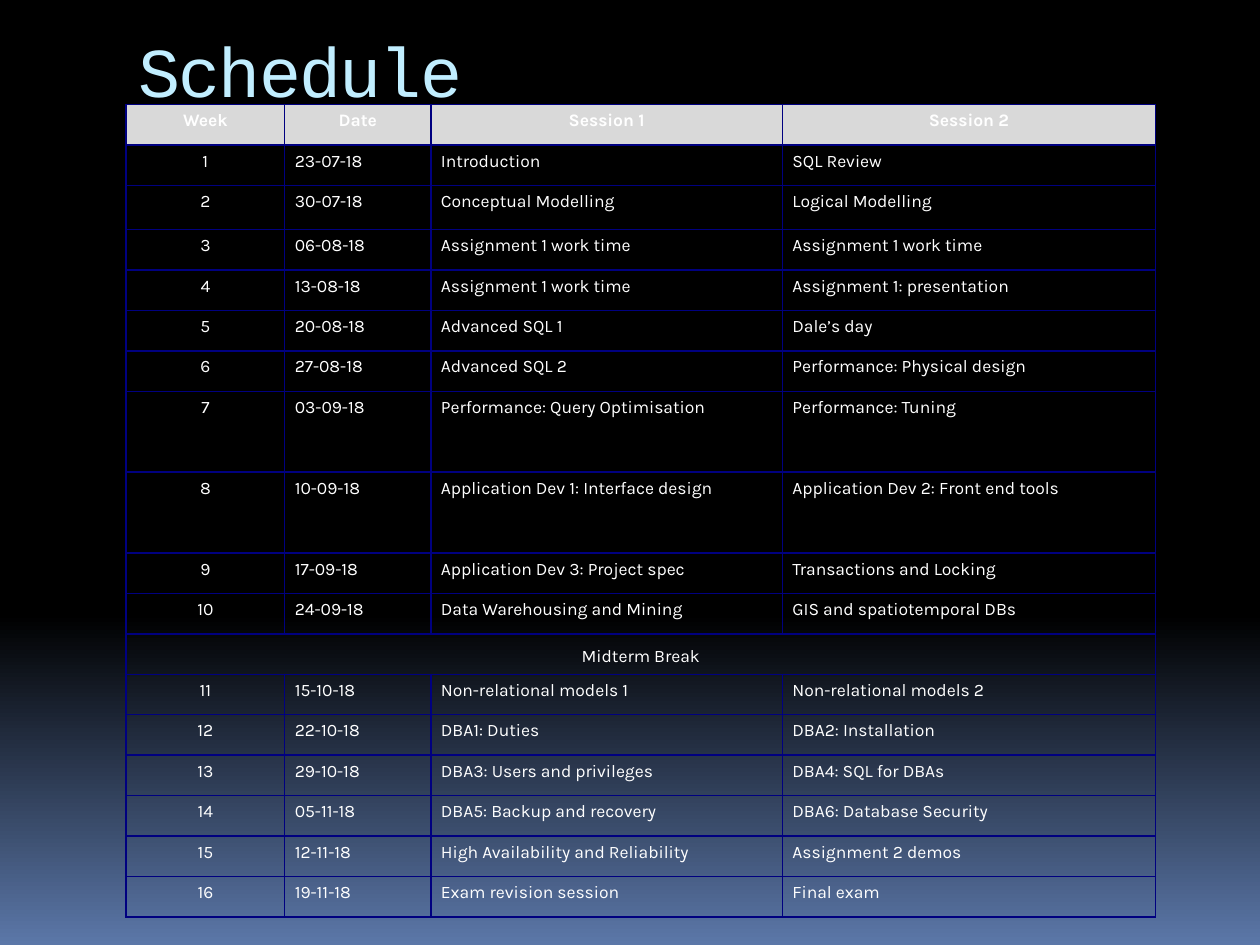
from copy import deepcopy
from dataclasses import dataclass

from lxml import etree
from pptx import Presentation
from pptx import util as u
from pptx.dml.color import RGBColor
from pptx.enum import shapes, text
from pptx.oxml.ns import qn


@dataclass(frozen=True)
class Theme:
    black: str = "000000"
    blue: str = "5B77A8"
    title: str = "C1EEFF"
    body: str = "FFFFFF"
    header: str = "D9D9D9"
    border: str = "000080"
    title_font: str = "Courier New"
    body_font: str = "Karla"
    title_size: int = 40
    body_size: int = 10


THEME = Theme()
COL_WIDTHS = [1.26, 1.16, 2.79, 2.96]
HEADER = ["Week", "Date", "Session 1", "Session 2"]
BREAK = ["Midterm Break"]
SESSIONS = [
    ("23-07-18", "Introduction", "SQL Review"),
    ("30-07-18", "Conceptual Modelling", "Logical Modelling"),
    ("06-08-18", "Assignment 1 work time", "Assignment 1 work time"),
    ("13-08-18", "Assignment 1 work time", "Assignment 1: presentation"),
    ("20-08-18", "Advanced SQL 1", "Dale’s day"),
    ("27-08-18", "Advanced SQL 2", "Performance: Physical design"),
    ("03-09-18", "Performance: Query Optimisation", "Performance: Tuning"),
    ("10-09-18", "Application Dev 1: Interface design",
     "Application Dev 2: Front end tools"),
    ("17-09-18", "Application Dev 3: Project spec", "Transactions and Locking"),
    ("24-09-18", "Data Warehousing and Mining", "GIS and spatiotemporal DBs"),
    ("15-10-18", "Non-relational models 1", "Non-relational models 2"),
    ("22-10-18", "DBA1: Duties", "DBA2: Installation"),
    ("29-10-18", "DBA3: Users and privileges", "DBA4: SQL for DBAs"),
    ("05-11-18", "DBA5: Backup and recovery", "DBA6: Database Security"),
    ("12-11-18", "High Availability and Reliability", "Assignment 2 demos"),
    ("19-11-18", "Exam revision session", "Final exam"),
]
BREAK_ROW = 11
SECOND_WEEK = 2
TALL_WEEKS = (7, 8)


def apply(obj, values):
    for name, value in values.items():
        setattr(obj, name, value)


def add_run(p, words, size, font, color, bold=False):
    r = p.add_run()
    r.text = words
    apply(r.font, {"size": u.Pt(size), "name": font, "bold": bold})
    r.font.color.rgb = RGBColor.from_string(color)
    return r


def paint_background(s):
    fill = s.background.fill
    fill.gradient()
    fill.gradient_angle = 270
    stop_list = next(s.element.iter(qn("a:gsLst")))
    stop_list.append(deepcopy(stop_list[-1]))
    stops = [(0, THEME.black), (0.65, THEME.black), (1, THEME.blue)]
    for stop, (position, color) in zip(fill.gradient_stops, stops):
        stop.position = position
        stop.color.rgb = RGBColor.from_string(color)


def add_side_bars(s, box):
    left, top, _, height = box
    for offset, width in ((0.1, 0.05), (0.05, 0.03), (0.03, 0.01), (0, 0.01)):
        bar = s.shapes.add_shape(
            shapes.MSO_SHAPE.RECTANGLE,
            *map(u.Inches, (left + offset, top, width, height)))
        bar.shadow.inherit = False
        bar.fill.solid()
        bar.fill.fore_color.rgb = RGBColor.from_string(THEME.black)
        bar.line.fill.background()


def add_title(s, box, words):
    tf = s.shapes.add_textbox(*map(u.Inches, box)).text_frame
    apply(tf, {"word_wrap": True, "vertical_anchor": text.MSO_ANCHOR.MIDDLE,
               "margin_bottom": u.Inches(0.11)})
    r = add_run(tf.paragraphs[0], words, THEME.title_size, THEME.title_font,
                THEME.title)
    r.font._element.set("spc", "-100")


def set_borders(cell):
    props = cell._tc.get_or_add_tcPr()
    for i, side in enumerate(("lnL", "lnR", "lnT", "lnB")):
        line = etree.Element(qn(f"a:{side}"), w=str(u.Pt(1)))
        fill = etree.SubElement(line, qn("a:solidFill"))
        etree.SubElement(fill, qn("a:srgbClr"), val=THEME.border)
        props.insert(i, line)


def fill_cell(cell, words, header, centered, is_break):
    apply(cell, {"margin_left": u.Inches(0.08), "margin_right": u.Inches(0.08),
                 "margin_top": 0, "margin_bottom": 0})
    if header:
        cell.fill.solid()
        cell.fill.fore_color.rgb = RGBColor.from_string(THEME.header)
    else:
        cell.fill.background()
    set_borders(cell)
    p = cell.text_frame.paragraphs[0]
    align = text.PP_ALIGN.CENTER if centered else text.PP_ALIGN.LEFT
    apply(p, {"alignment": align, "line_spacing": 1.3})
    if is_break:
        cell.vertical_anchor = text.MSO_ANCHOR.MIDDLE
        apply(p, {"space_before": u.Pt(6), "space_after": u.Pt(6)})
    if words:
        add_run(p, words, THEME.body_size, THEME.body_font, THEME.body, header)
    else:
        p.font.size = u.Pt(THEME.body_size)


def add_schedule(s, box):
    rows = [HEADER]
    rows += [[str(week), *entry] for week, entry in enumerate(SESSIONS, 1)]
    rows.insert(BREAK_ROW, BREAK + [""] * (len(HEADER) - 1))
    table = s.shapes.add_table(len(rows), len(HEADER), *map(u.Inches, box)).table
    apply(table, {"first_row": False, "horz_banding": False})

    # Column widths and row heights
    for column, width in zip(table.columns, COL_WIDTHS):
        column.width = u.Inches(width)
    second_height = 0.35
    unit = (box[3] - second_height) / (len(rows) - 1 + len(TALL_WEEKS))
    for i, row in enumerate(table.rows):
        height = unit * 2 if i in TALL_WEEKS else unit
        row.height = u.Inches(second_height if i == SECOND_WEEK else height)

    # Cells
    table.cell(BREAK_ROW, 0).merge(table.cell(BREAK_ROW, len(HEADER) - 1))
    for i, row in enumerate(rows):
        for j, words in enumerate(row):
            fill_cell(table.cell(i, j), words, header=i == 0,
                      centered=i == 0 or j == 0, is_break=i == BREAK_ROW)


def main():
    prs = Presentation()
    apply(prs, {"slide_width": u.Inches(10), "slide_height": u.Inches(7.5)})
    s = prs.slides.add_slide(prs.slide_layouts[6])
    paint_background(s)
    add_side_bars(s, (0.24, 0.74, 0.15, 0.4))
    add_title(s, (1, 0.08, 8.5, 1), "Schedule")
    add_schedule(s, (1, 0.83, 8.17, 6.45))
    prs.save("out.pptx")


if __name__ == "__main__":
    main()
